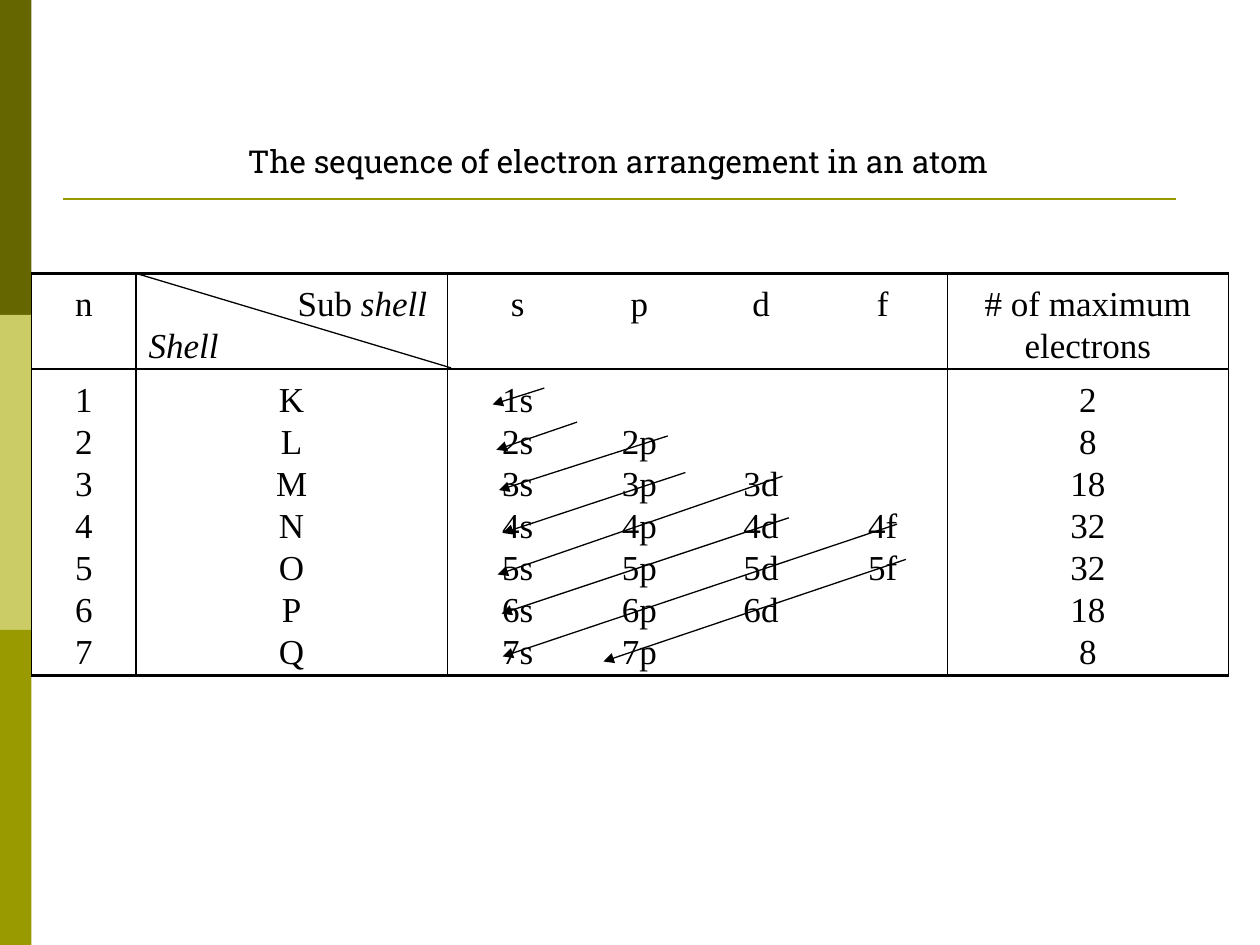
from lxml.etree import SubElement
from pptx import Presentation
from pptx.dml.color import RGBColor
from pptx.enum.shapes import MSO_CONNECTOR, MSO_SHAPE
from pptx.enum.text import PP_ALIGN
from pptx.oxml import parse_xml
from pptx.oxml.ns import nsdecls, qn
from pptx.util import Inches, Pt

COLORS = {"dark": "666600", "light": "CCCC66", "olive": "999900", "black": "000000"}
COLUMN_WIDTHS = [0.83, 2.47, 3.97, 2.23]
ROW_HEIGHTS = [0.76, 2.43]
TABLE_LEFT, TABLE_TOP = 0.25, 2.17
SUBSHELL_TABS = [("ctr", 0.46 + 0.965 * index) for index in range(4)]
SHELL_TABS = [("r", 2.21)]
SUBSHELLS = ["s", "sp", "spd", "spdf", "spdf", "spd", "sp"]
ELECTRONS = ["2", "8", "18", "32", "32", "18", "8"]
FILLING_ARROWS = [
    ((4.32, 3.08), (3.91, 3.21)),
    ((4.58, 3.35), (3.94, 3.57)),
    ((5.30, 3.46), (3.96, 3.89)),
    ((5.44, 3.75), (3.99, 4.23)),
    ((6.21, 3.78), (3.95, 4.56)),
    ((6.26, 4.11), (3.98, 4.87)),
    ((7.12, 4.16), (3.99, 5.21)),
    ((7.19, 4.44), (4.79, 5.25)),
]


def color(name):
    """Return the named colour."""
    return RGBColor.from_string(COLORS[name])


def style_font(font, name, size):
    """Give a font its face, size and black colour."""
    font.name = name
    font.size = Pt(size)
    font.color.rgb = color("black")


def add_band(page, top, fill):
    """Add one block of the left edge strip."""
    band = page.shapes.add_shape(
        MSO_SHAPE.RECTANGLE, 0, Inches(top), Inches(0.25), Inches(2.5)
    )
    band.shadow.inherit = False
    band.fill.solid()
    band.fill.fore_color.rgb = color(fill)
    band.line.fill.background()


def add_line(page, start, end, name="black", width=0.75, arrow=False):
    """Add a straight line, with an arrowhead at its end if asked."""
    points = [Inches(value) for value in (*start, *end)]
    line = page.shapes.add_connector(MSO_CONNECTOR.STRAIGHT, *points)
    line.line.color.rgb = color(name)
    line.line.width = Pt(width)
    if arrow:
        SubElement(line.line._get_or_add_ln(), qn("a:tailEnd"), type="triangle")
    SubElement(line._element.spPr, qn("a:effectLst"))


def add_title(page, text):
    """Add the slide heading."""
    box = page.shapes.add_textbox(
        Inches(1.87), Inches(1.08), Inches(6.26), Inches(0.4)
    )
    box.text_frame.word_wrap = True
    box.text_frame.text = text
    style_font(box.text_frame.paragraphs[0].runs[0].font, "Roboto Slab", 18)


def set_borders(cell, widths):
    """Draw the four cell borders: left, right, top and bottom."""
    properties = cell._tc.get_or_add_tcPr()
    for index, (side, width) in enumerate(zip("LRTB", widths)):
        border = parse_xml(
            f'<a:ln{side} {nsdecls("a")} w="{Pt(width)}"><a:solidFill>'
            f'<a:srgbClr val="{COLORS["black"]}"/></a:solidFill></a:ln{side}>'
        )
        properties.insert(index, border)


def set_tabs(para, tabs):
    """Give a paragraph its tab stops."""
    stops = SubElement(para._p.get_or_add_pPr(), qn("a:tabLst"))
    for alignment, position in tabs:
        SubElement(stops, qn("a:tab"), pos=str(Inches(position)), algn=alignment)


def fill_cell(cell, lines, tabs=None):
    """Write the lines of a cell, on tab stops or centred."""
    cell.fill.background()
    cell.margin_left = cell.margin_right = Inches(0.1)
    cell.margin_top, cell.margin_bottom = Inches(0.07), Inches(0.02)
    cell.text_frame.text = "\n".join(lines)
    for para in cell.text_frame.paragraphs:
        para.line_spacing = Pt(24)
        para.alignment = PP_ALIGN.LEFT if tabs else PP_ALIGN.CENTER
        if tabs:
            set_tabs(para, tabs)
        for span in para.runs:
            style_font(span.font, "Times New Roman", 20)


def add_shell_table(page):
    """Add the table of shells, subshells and electron counts."""
    subshell_lines = [
        "".join(f"\t{number}{letter}" for letter in letters)
        for number, letters in enumerate(SUBSHELLS, 1)
    ]
    rows = [
        [["n"], ["\tSub ", "Shell"], ["\ts\tp\td\tf"], ["# of maximum electrons"]],
        [list("1234567"), list("KLMNOPQ"), subshell_lines, ELECTRONS],
    ]
    column_tabs = [[None, SHELL_TABS, SUBSHELL_TABS, None],
                   [None, None, SUBSHELL_TABS, None]]
    table = page.shapes.add_table(
        2, 4, Inches(TABLE_LEFT), Inches(TABLE_TOP),
        Inches(sum(COLUMN_WIDTHS)), Inches(sum(ROW_HEIGHTS)),
    ).table
    table.first_row = table.horz_banding = False
    for column, width in zip(table.columns, COLUMN_WIDTHS):
        column.width = Inches(width)
    for row, height in zip(table.rows, ROW_HEIGHTS):
        row.height = Inches(height)
    for row, contents in enumerate(rows):
        for column, lines in enumerate(contents):
            cell = table.cell(row, column)
            fill_cell(cell, lines, column_tabs[row][column])
            set_borders(cell, (1, 1, 1 if row else 2, 2 if row else 1))
    top, bottom = table.cell(0, 1).text_frame.paragraphs
    span = top.add_run()
    span.text = "shell"
    style_font(span.font, "Times New Roman", 20)
    span.font.italic = bottom.runs[0].font.italic = True


def main():
    """Build the slide and save the deck."""
    deck = Presentation()
    deck.slide_width, deck.slide_height = Inches(10), Inches(7.5)
    page = deck.slides.add_slide(deck.slide_layouts[6])
    for index, name in enumerate(("dark", "light", "olive")):
        add_band(page, 2.5 * index, name)
    add_line(page, (0.5, 1.58), (9.33, 1.58), "olive", 1.5)
    add_title(page, "The sequence of electron arrangement in an atom")
    add_shell_table(page)
    add_line(page, (1.08, 2.17), (3.58, 2.92))
    for start, end in FILLING_ARROWS:
        add_line(page, start, end, arrow=True)
    deck.save("out.pptx")


if __name__ == "__main__":
    main()
